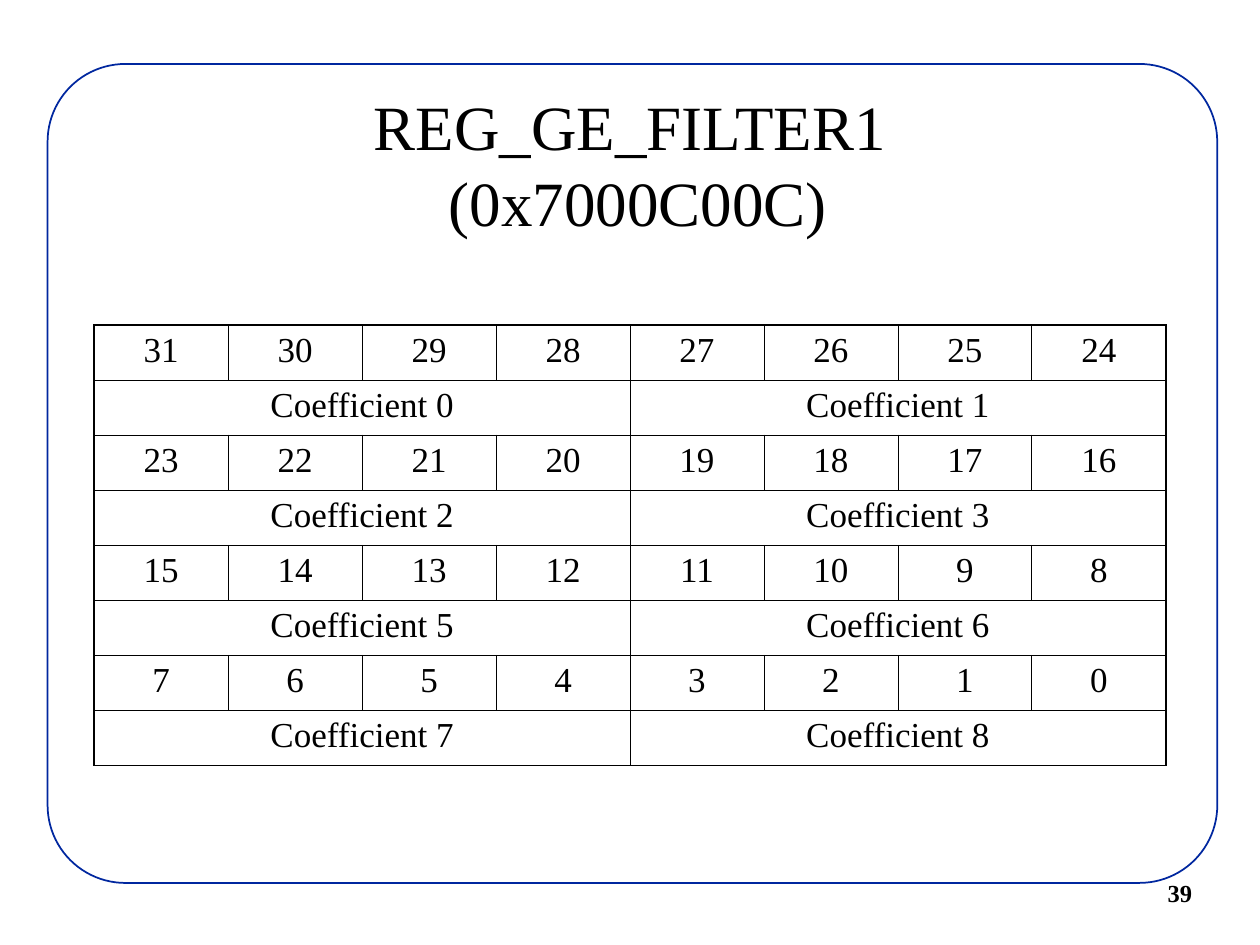
from lxml.etree import SubElement
from pptx import Presentation
from pptx.dml.color import RGBColor
from pptx.enum.shapes import MSO_SHAPE as Shape
from pptx.enum.text import MSO_ANCHOR as Anchor, PP_ALIGN as Align
from pptx.oxml.ns import qn
from pptx.util import Cm, Pt

FONT = "Times New Roman"
BLACK, WHITE, NAVY = "000000", "FFFFFF", "00279F"
COLUMNS, HALF = 8, 4
COEFFICIENTS = [(0, 1), (2, 3), (5, 6), (7, 8)]
THIN, THICK = 0.45, 1.08


def color(hex_value):
    return RGBColor.from_string(hex_value)


def write(frame, text, size, align=Align.LEFT, bold=False):
    frame.text = text
    paragraph = frame.paragraphs[0]
    paragraph.alignment = align
    font = paragraph.font
    font.name, font.size, font.bold = FONT, Pt(size), bold
    font.color.rgb = color(BLACK)


def add_text(slide, box, text, size, wrap=True, **style):
    frame = slide.shapes.add_textbox(*map(Cm, box)).text_frame
    frame.word_wrap = wrap
    frame.vertical_anchor = Anchor.MIDDLE
    write(frame, text, size, **style)


def add_frame(slide):
    shape = slide.shapes.add_shape(
        Shape.ROUNDED_RECTANGLE, Cm(0.96), Cm(1.29), Cm(23.58), Cm(16.51))
    shape.shadow.inherit = False
    shape.adjustments[0] = 0.095
    shape.fill.solid()
    shape.fill.fore_color.rgb = color(WHITE)
    shape.line.color.rgb = color(NAVY)
    shape.line.width = Pt(1)


def set_borders(cell, widths):
    properties = cell._tc.get_or_add_tcPr()
    for side, width in widths.items():
        line = SubElement(properties, qn(f"a:ln{side}"), w=str(Pt(width)))
        fill = SubElement(line, qn("a:solidFill"))
        SubElement(fill, qn("a:srgbClr"), val=BLACK)


def fill_cell(table, row, column, text, span=1):
    cell = table.cell(row, column)
    if span > 1:
        cell.merge(table.cell(row, column + span - 1))
    write(cell.text_frame, text, 20, Align.CENTER)
    # Outer edges of the table are heavier than the inner grid
    outer = {
        "L": column == 0,
        "R": column + span == COLUMNS,
        "T": row == 0,
        "B": row == len(table.rows) - 1,
    }
    set_borders(cell, {side: THICK if edge else THIN
                       for side, edge in outer.items()})
    cell.fill.background()


def add_register_table(slide):
    rows = 2 * len(COEFFICIENTS)
    table = slide.shapes.add_table(
        rows, COLUMNS, Cm(1.9), Cm(6.55), Cm(21.6), Cm(8.88)).table
    table.first_row = table.horz_banding = False

    # Each byte has a row of bit numbers and a row of two coefficients
    for byte, pair in enumerate(COEFFICIENTS):
        top_bit = 31 - byte * COLUMNS
        for column in range(COLUMNS):
            fill_cell(table, 2 * byte, column, str(top_bit - column))
        for half, number in enumerate(pair):
            fill_cell(table, 2 * byte + 1, half * HALF,
                      f"Coefficient {number}", HALF)


def main():
    presentation = Presentation()
    presentation.slide_width, presentation.slide_height = Cm(25.4), Cm(19.05)
    slide = presentation.slides.add_slide(presentation.slide_layouts[6])

    # Rounded frame and page number
    add_frame(slide)
    add_text(slide, (23.29, 17.58, 2.74, 0.84), "39", 14, wrap=False, bold=True)

    # Title and register layout
    add_text(slide, (1.9, 1.7, 21.6, 3.18),
             "REG_GE_FILTER1\v (0x7000C00C)", 36, align=Align.CENTER)
    add_register_table(slide)

    presentation.save("out.pptx")


if __name__ == "__main__":
    main()
